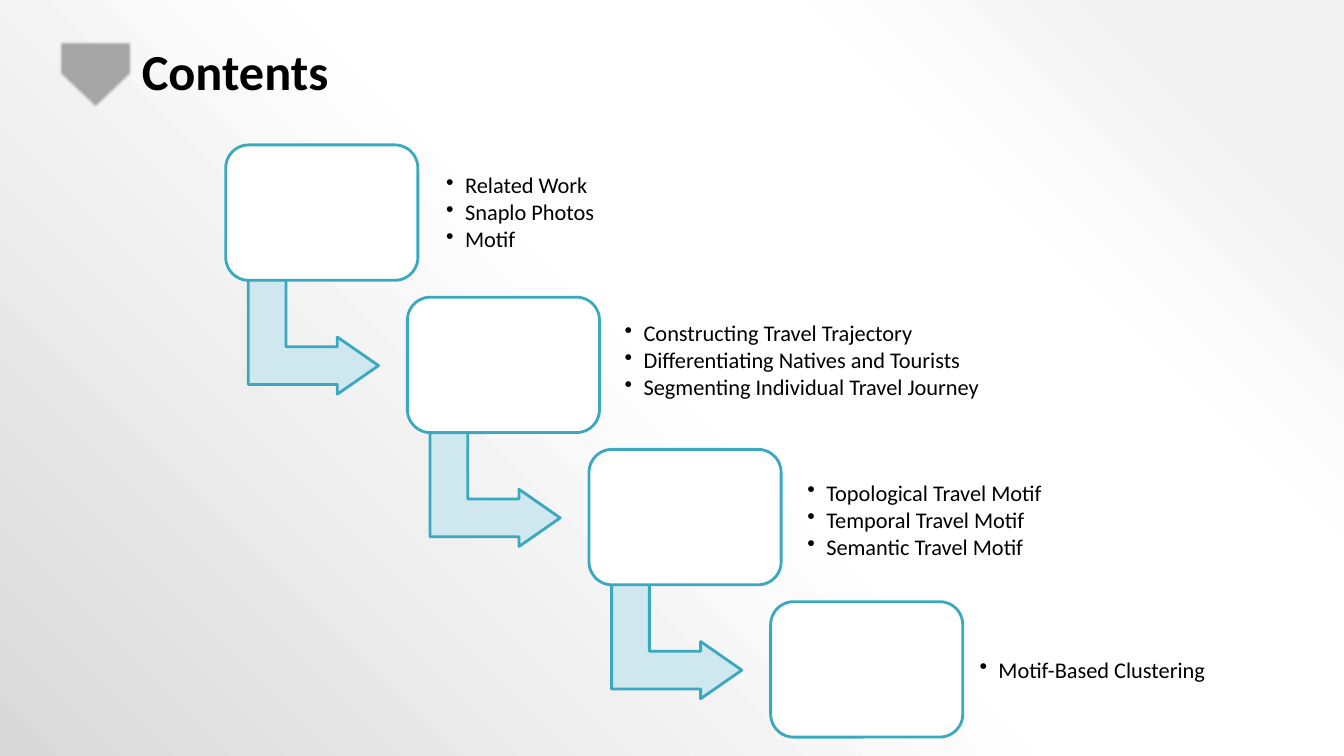
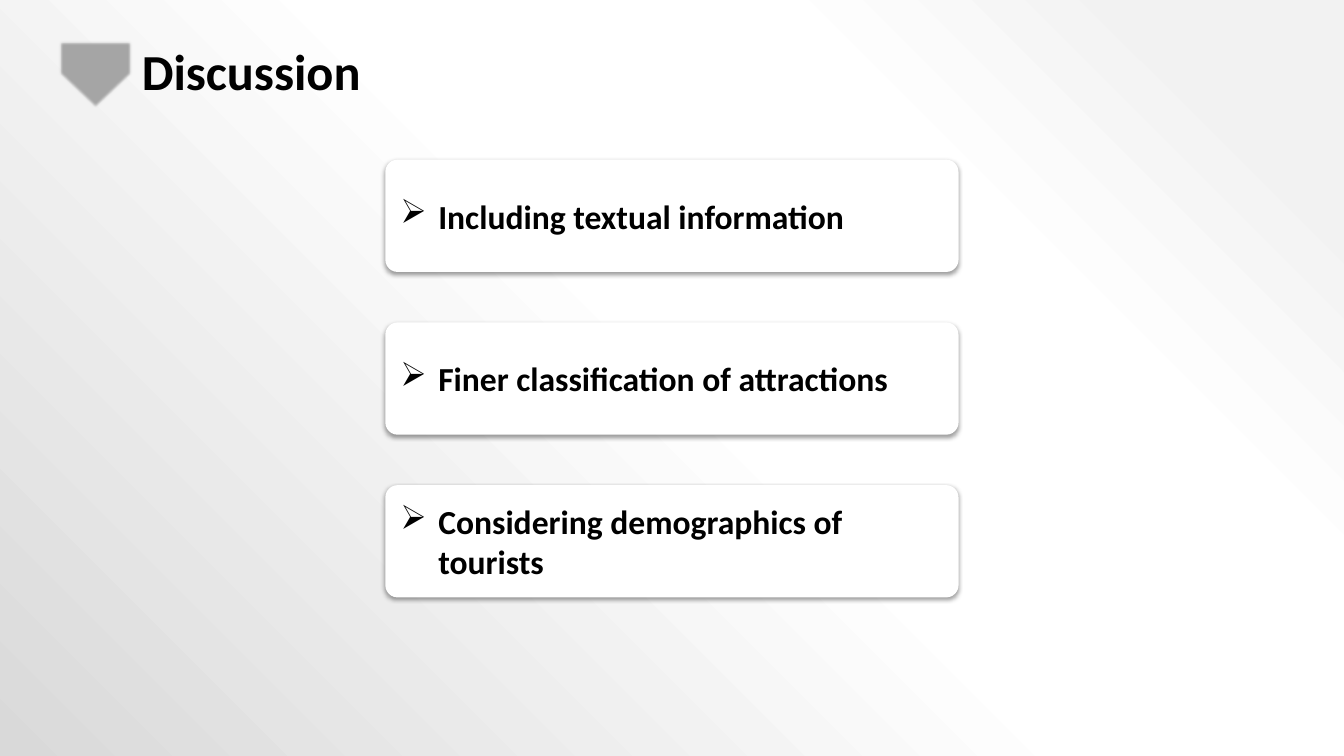
"""Build the contents and discussion slides of a talk on travel motifs."""
import dataclasses

import lxml.etree
import pptx
import pptx.dml.color
import pptx.enum.shapes
import pptx.enum.text
import pptx.oxml
import pptx.oxml.ns
import pptx.util

KIND = pptx.enum.shapes.MSO_SHAPE
ANCHOR = pptx.enum.text.MSO_ANCHOR
qn = pptx.oxml.ns.qn


@dataclasses.dataclass(frozen=True)
class Theme:
    """Colours, font and type sizes of the deck."""
    font: str = "Calibri"
    ink: str = "000000"
    paper: str = "FFFFFF"
    badge: str = "A6A6A6"
    rim: str = "BFBFBF"
    teal: str = "3AA9BF"
    pale: str = "CFE7EE"
    stops: tuple = ((10, "F2F2F2"), (28, "FFFFFF"), (48, "FFFFFF"), (100, "D9D9D9"))
    title: int = 36
    card: int = 24
    item: int = 16
    line: int = 2


THEME = Theme()
WIDTH, HEIGHT = 1280, 720

STEPS = (
    ((418, 151, 219, 104), ("Related Work", "Snaplo Photos", "Motif")),
    ((588, 292, 458, 104), ("Constructing Travel Trajectory",
                            "Differentiating Natives and Tourists",
                            "Segmenting Individual Travel Journey")),
    ((762, 444, 248, 104), ("Topological Travel Motif", "Temporal Travel Motif",
                            "Semantic Travel Motif")),
    ((926, 587, 266, 104), ("Motif-Based Clustering",)),
)
CARDS = ("Including textual information", "Finer classification of attractions",
         "Considering demographics of tourists")


def px(*sizes):
    """Turn pixels into a list of EMU lengths."""
    return [pptx.util.Emu(size * 9525) for size in sizes]


def rgb(code):
    """Turn a hex code into a colour."""
    return pptx.dml.color.RGBColor.from_string(code)


def node(parent, tag, **attrs):
    """Append a drawing element with its attributes."""
    values = {key: str(value) for key, value in attrs.items()}
    return lxml.etree.SubElement(parent, qn(tag), values)


def paint(prs):
    """Give the master its radial grey background."""
    master = prs.slide_master
    master.background.fill.solid()
    holder = master.element.find(".//" + qn("p:bgPr"))
    holder.remove(holder[0])
    grad = pptx.oxml.parse_xml(f"<a:gradFill {pptx.oxml.ns.nsdecls('a')}/>")
    holder.insert(0, grad)
    stops = node(grad, "a:gsLst")
    for place, code in THEME.stops:
        node(node(stops, "a:gs", pos=place * 1000), "a:srgbClr", val=code)
    focus = node(grad, "a:path", **{"path": "circle"})
    node(focus, "a:fillToRect", l=100000, b=100000)


def shape(slide, kind, box, fill, line=None, turn=0, adjust=()):
    """Add a filled preset shape with no inherited shadow."""
    item = slide.shapes.add_shape(kind, *px(*box))
    item.shadow.inherit = False
    item.rotation = turn
    item.fill.solid()
    item.fill.fore_color.rgb = rgb(fill)
    if line:
        item.line.color.rgb = rgb(line)
        item.line.width = pptx.util.Pt(THEME.line)
    else:
        item.line.fill.background()
    for index, value in enumerate(adjust):
        item.adjustments[index] = value
    return item


def effect(item, tag, **attrs):
    """Add an effect to a shape."""
    return node(item.element.spPr.find(qn("a:effectLst")), tag, **attrs)


def frame(item, inset, anchor):
    """Set wrapping, insets and anchor of a text frame."""
    text = item.text_frame
    text.word_wrap = True
    text.vertical_anchor = anchor
    text.margin_left, text.margin_top, text.margin_right, text.margin_bottom = px(*inset)
    return text


def write(text, lines, size, bold=False, space=1.0, after=0, mark=None, indent=0):
    """Write paragraphs that share one style."""
    for index, line in enumerate(lines):
        para = text.add_paragraph() if index else text.paragraphs[0]
        para.text = line
        para.alignment = pptx.enum.text.PP_ALIGN.LEFT
        para.line_spacing = space
        para.space_after = pptx.util.Pt(after)
        if mark:
            props = para._p.get_or_add_pPr()
            hang = px(indent)[0]
            props.set("marL", str(hang))
            props.set("indent", str(-hang))
            node(props, "a:buChar", char=mark)
        para.font.name = THEME.font
        para.font.size = pptx.util.Pt(size)
        para.font.bold = bold
        para.font.color.rgb = rgb(THEME.ink)


def start(prs, title):
    """Add a blank slide with its badge and title."""
    slide = prs.slides.add_slide(prs.slide_layouts[6])
    badge = shape(slide, KIND.PENTAGON, (59, 38, 64, 68), THEME.badge, THEME.rim, 90)
    effect(badge, "a:softEdge", rad=25400)
    box = slide.shapes.add_textbox(*px(125, 40, 1015, 62))
    text = frame(box, (10, 5, 10, 5), ANCHOR.TOP)
    text.auto_size = pptx.enum.text.MSO_AUTO_SIZE.SHAPE_TO_FIT_TEXT
    write(text, (title,), THEME.title, bold=True, space=0.9)
    return slide


def step(slide, index, box, lines):
    """Add one stair of the contents with its arrow and list."""
    left, top = 215 + 173 * index, 138 + 145 * index
    if index < len(STEPS) - 1:
        shape(slide, KIND.BENT_UP_ARROW, (left + 29, top + 121, 109, 124),
              THEME.pale, THEME.teal, 90, (0.33, 0.25, 0.36))
    shape(slide, KIND.ROUNDED_RECTANGLE, (left, top, 183, 129),
          THEME.paper, THEME.teal, adjust=(0.17,))
    text = frame(slide.shapes.add_textbox(*px(*box)), (7, 7, 7, 7), ANCHOR.MIDDLE)
    write(text, lines, THEME.item, space=0.9, after=2, mark="•", indent=18)


def card(slide, index, line):
    """Add one raised card of the discussion."""
    wide = 546
    box = ((WIDTH - wide) // 2, 152 + 155 * index, wide, 107)
    item = shape(slide, KIND.ROUNDED_RECTANGLE, box, THEME.paper, adjust=(0.11,))
    shade = effect(item, "a:outerShdw", blurRad=39400, dist=20300, dir=5400000, rotWithShape=0)
    node(node(shade, "a:srgbClr", val=THEME.ink), "a:alpha", val=38000)
    text = frame(item, (11, 11, 11, 11), ANCHOR.MIDDLE)
    write(text, (line,), THEME.card, bold=True, mark="➢", indent=36)


def main():
    """Build and save the deck."""
    prs = pptx.Presentation()
    prs.slide_width, prs.slide_height = px(WIDTH, HEIGHT)
    paint(prs)
    slide = start(prs, "Contents")
    for index, (box, lines) in enumerate(STEPS):
        step(slide, index, box, lines)
    slide = start(prs, "Discussion")
    for index, line in enumerate(CARDS):
        card(slide, index, line)
    prs.save("out.pptx")


if __name__ == "__main__":
    main()
